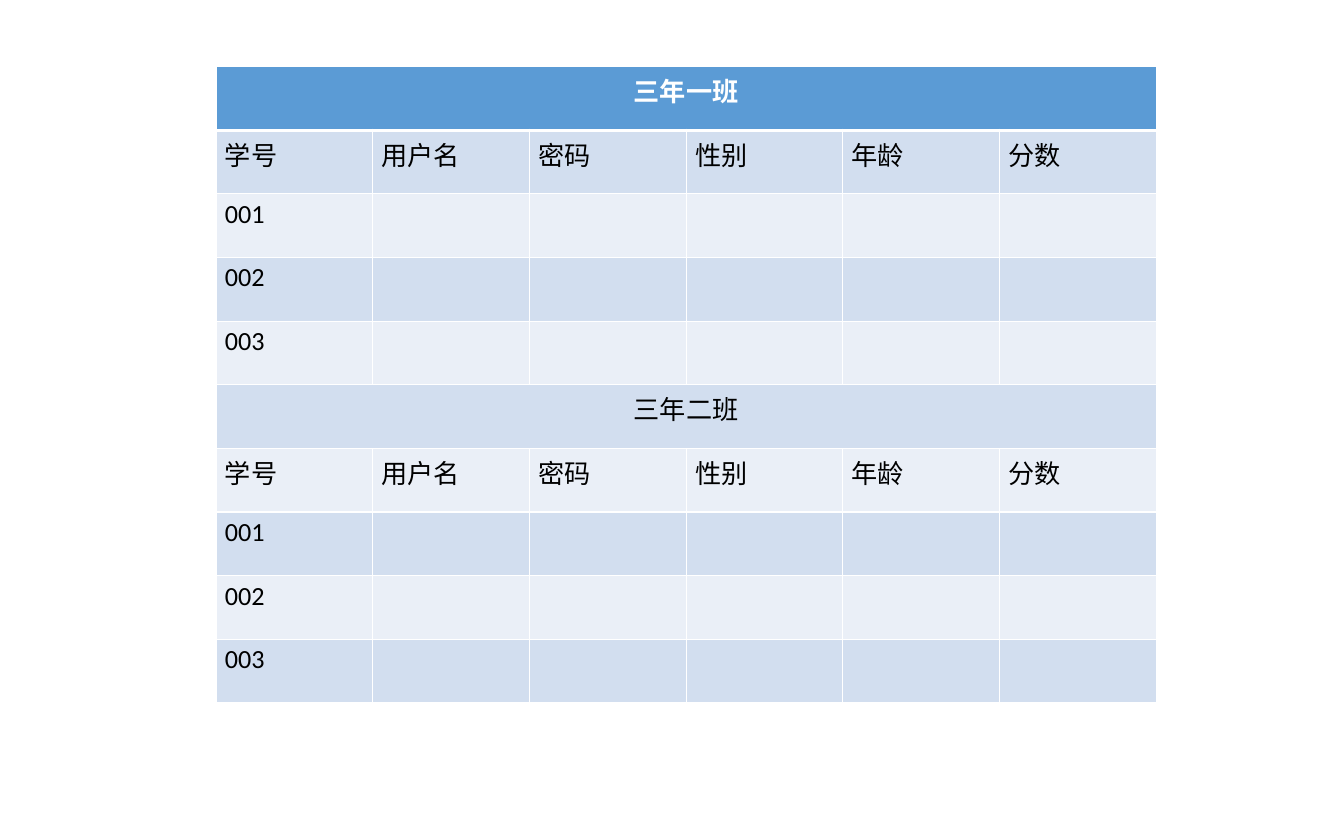
"""Build a slide with one score table for two school classes."""
from dataclasses import dataclass

from lxml import etree
from pptx import Presentation
from pptx.dml.color import RGBColor
from pptx.enum.text import PP_ALIGN
from pptx.oxml.ns import qn
from pptx.table import Table, _Cell
from pptx.util import Inches, Pt

CENTER, LEFT = PP_ALIGN.CENTER, PP_ALIGN.LEFT
FIELDS = ("学号", "用户名", "密码", "性别", "年龄", "分数")
PUPILS = ("001", "002", "003")
CLASSES = ("三年一班", "三年二班")


@dataclass(frozen=True)
class Theme:
    """Hold the colours, type and line widths."""
    font: str = "Calibri"
    size: float = 21.2
    ink: str = "000000"
    white: str = "FFFFFF"
    head: str = "5B9BD5"
    bands: tuple[str, str] = ("EAEFF7", "D2DEEF")
    thin: float = 1
    thick: float = 3


@dataclass(frozen=True)
class Row:
    """Describe one table row."""
    texts: tuple[str, ...]
    title: bool = False


THEME = Theme()


def list_rows() -> list[Row]:
    """Return the title, field and pupil rows of every class."""
    rows = []
    for name in CLASSES:
        rows += [Row((name,), True), Row(FIELDS)]
        rows += [Row((pupil,)) for pupil in PUPILS]
    return rows


def set_edges(cell: _Cell, top: float, base: float) -> None:
    """Draw white borders around a cell."""
    props = cell._tc.get_or_add_tcPr()
    widths = {"a:lnL": THEME.thin, "a:lnR": THEME.thin, "a:lnT": top, "a:lnB": base}
    for place, (tag, width) in enumerate(widths.items()):
        line = etree.Element(qn(tag), w=str(Pt(width)))
        fill = etree.SubElement(line, qn("a:solidFill"))
        etree.SubElement(fill, qn("a:srgbClr"), val=THEME.white)
        props.insert(place, line)


def fill_row(table: Table, index: int, row: Row) -> None:
    """Write and style one row."""
    head = index == 0
    color = THEME.head if head else THEME.bands[index % 2]
    top = THEME.thick if index == 1 else THEME.thin
    base = THEME.thick if head else THEME.thin
    for col in range(len(FIELDS)):
        cell = table.cell(index, col)
        cell.fill.solid()
        cell.fill.fore_color.rgb = RGBColor.from_string(color)
        set_edges(cell, top, base)
        if col < len(row.texts):
            cell.text = row.texts[col]
        para = cell.text_frame.paragraphs[0]
        para.alignment = CENTER if row.title else LEFT
        font = para.font
        font.name, font.size, font.bold = THEME.font, Pt(THEME.size), head
        font.color.rgb = RGBColor.from_string(THEME.white if head else THEME.ink)
    if row.title:
        table.cell(index, 0).merge(table.cell(index, len(FIELDS) - 1))


def main() -> None:
    """Build and save the deck."""
    deck = Presentation()
    deck.slide_width, deck.slide_height = Inches(15.12), Inches(9.45)
    slide = deck.slides.add_slide(deck.slide_layouts[6])
    rows = list_rows()
    table = slide.shapes.add_table(
        len(rows), len(FIELDS),
        Inches(2.43), Inches(0.75), Inches(10.58), Inches(7.16)).table
    table.first_row = table.horz_banding = False
    for index, row in enumerate(rows):
        fill_row(table, index, row)
    deck.save("out.pptx")


if __name__ == "__main__":
    main()
